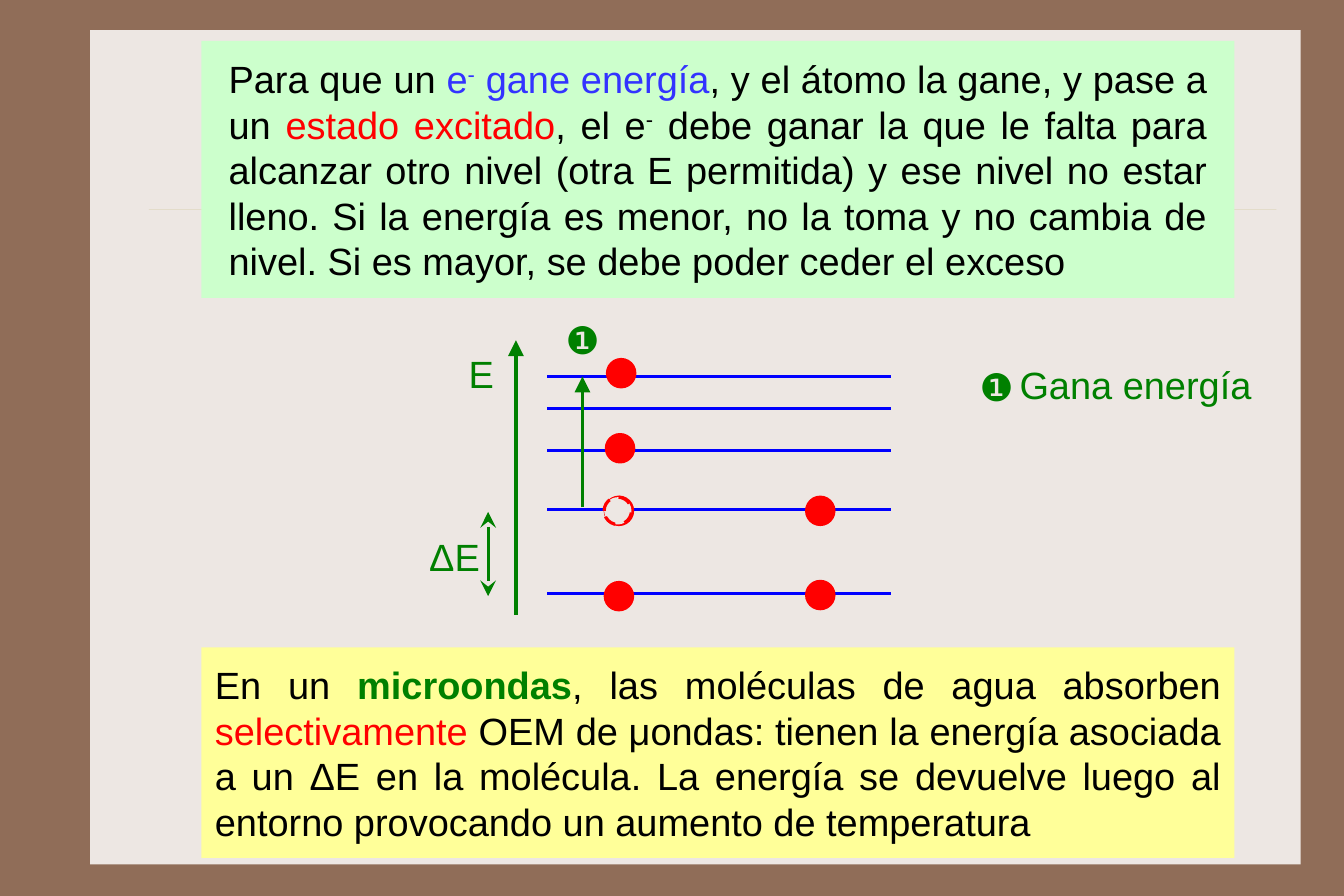
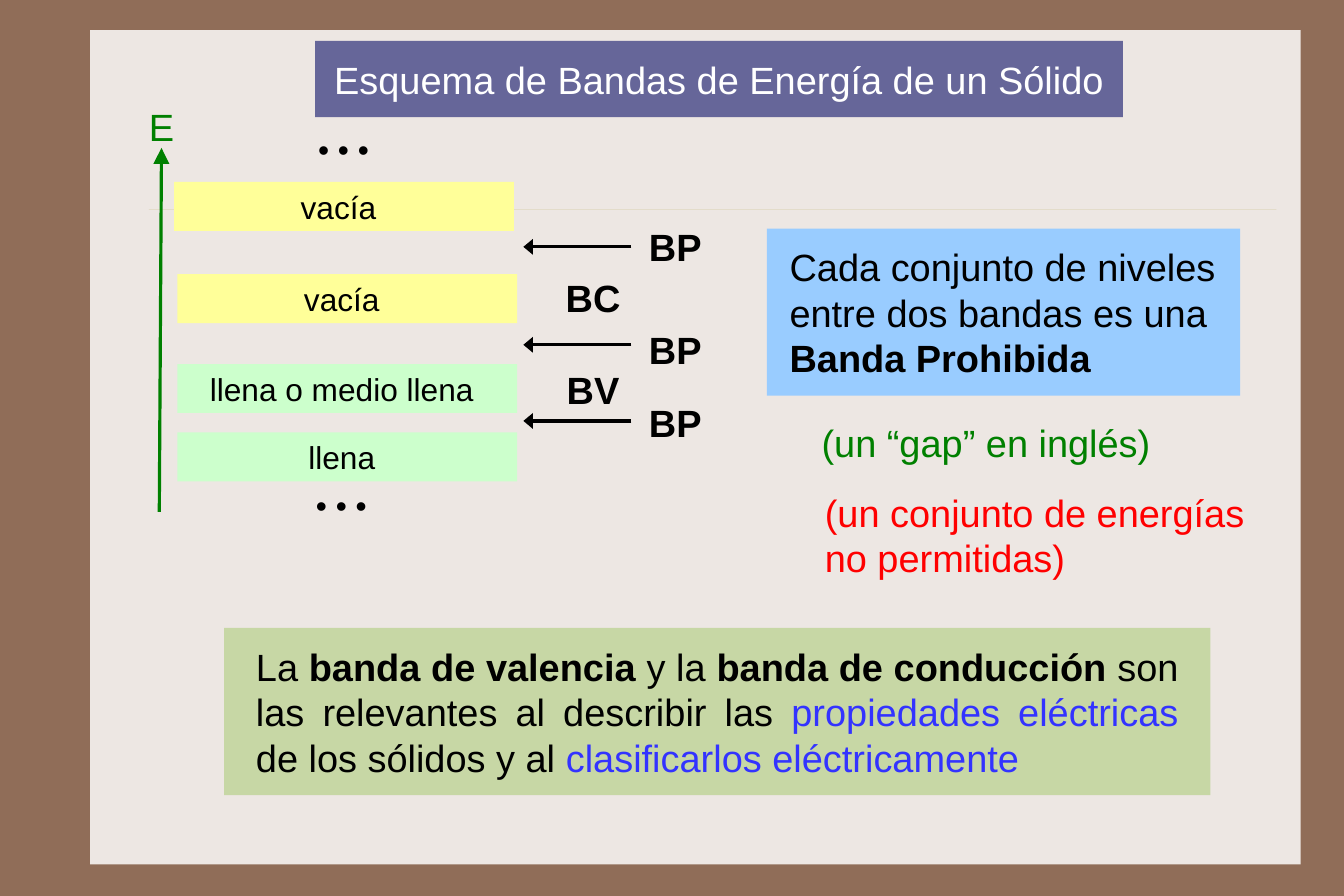
from dataclasses import dataclass

from lxml.etree import SubElement
from pptx import Presentation
from pptx.dml.color import RGBColor
from pptx.enum.dml import MSO_LINE
from pptx.enum.shapes import MSO_CONNECTOR, MSO_SHAPE
from pptx.enum.text import MSO_ANCHOR as Anchor, MSO_AUTO_SIZE, PP_ALIGN as Align
from pptx.oxml.ns import qn
from pptx.util import Pt


@dataclass(frozen=True)
class Theme:
    font: str = "Arial"
    text_size: float = 24
    band_size: float = 20
    line_width: float = 2
    frame: str = "906D58"
    panel: str = "EDE7E3"
    rule: str = "CBBD83"
    black: str = "000000"
    white: str = "FFFFFF"
    green: str = "008000"
    red: str = "FF0000"
    blue: str = "3333FF"
    level: str = "0000FF"
    pale_green: str = "CCFFCC"
    pale_yellow: str = "FFFF99"
    sky: str = "99CCFF"
    violet: str = "666699"
    olive: str = "C7D7A5"


THEME = Theme()
BLUE = {"color": THEME.blue}
RED = {"color": THEME.red}
BOLD = {"bold": True}
RAISED = {"raised": True}


# Text
def format_run(run, color=THEME.black, size=THEME.text_size, bold=False, raised=False):
    run.font.name = THEME.font
    run.font.size = Pt(size)
    run.font.bold = bold
    run.font.color.rgb = RGBColor.from_string(color)
    if raised:
        run._r.get_or_add_rPr().set("baseline", "30000")


def set_margins(text_frame, horizontal, vertical):
    text_frame.margin_left = text_frame.margin_right = Pt(horizontal)
    text_frame.margin_top = text_frame.margin_bottom = Pt(vertical)


def write_paragraphs(text_frame, paragraphs, align=Align.LEFT):
    """Each paragraph is a list of plain strings and (string, format) pairs."""
    for index, pieces in enumerate(paragraphs):
        paragraph = text_frame.add_paragraph() if index else text_frame.paragraphs[0]
        paragraph.alignment = align
        for piece in pieces:
            text, style = (piece, {}) if isinstance(piece, str) else piece
            run = paragraph.add_run()
            run.text = text
            format_run(run, **style)


def add_label(slide, center, top, text, width=60, **style):
    """One line of text, centred on a point."""
    box = slide.shapes.add_textbox(Pt(center - width / 2), Pt(top), Pt(width), Pt(28))
    text_frame = box.text_frame
    text_frame.word_wrap = True
    set_margins(text_frame, 0, 0)
    text_frame.text = text
    paragraph = text_frame.paragraphs[0]
    paragraph.alignment = Align.CENTER
    format_run(paragraph.runs[0], **style)


# Shapes
def paint(shape, fill, line=None):
    shape.shadow.inherit = False
    shape.fill.solid()
    shape.fill.fore_color.rgb = RGBColor.from_string(fill)
    if line:
        shape.line.color.rgb = RGBColor.from_string(line)
        shape.line.width = Pt(THEME.line_width)
    else:
        shape.line.fill.background()


def add_block(slide, left, top, width, height, fill):
    block = slide.shapes.add_shape(
        MSO_SHAPE.RECTANGLE, Pt(left), Pt(top), Pt(width), Pt(height))
    paint(block, fill)
    return block


def add_text_block(slide, area, fill, paragraphs, margin, align=Align.JUSTIFY):
    text_frame = add_block(slide, *area, fill).text_frame
    text_frame.word_wrap = True
    text_frame.vertical_anchor = Anchor.MIDDLE
    set_margins(text_frame, margin, 9)
    write_paragraphs(text_frame, paragraphs, align)


def add_line(slide, start, end, color, width=THEME.line_width,
             head=None, tail=None, length="lg"):
    line = slide.shapes.add_connector(
        MSO_CONNECTOR.STRAIGHT, *(Pt(value) for value in (*start, *end)))
    line.line.color.rgb = RGBColor.from_string(color)
    line.line.width = Pt(width)
    for tag, kind in (("a:headEnd", head), ("a:tailEnd", tail)):
        if kind:
            SubElement(line.get_or_add_ln(), qn(tag), type=kind, w="lg", len=length)
    SubElement(line.element.spPr, qn("a:effectLst"))
    return line


def add_electron(slide, x, y, hole=False):
    size = 17.3
    electron = slide.shapes.add_shape(
        MSO_SHAPE.OVAL, Pt(x - size / 2), Pt(y - size / 2), Pt(size), Pt(size))
    paint(electron, THEME.panel if hole else THEME.red, THEME.red)
    if hole:
        electron.line.dash_style = MSO_LINE.DASH


def add_band(slide, left, top, fill, text):
    band = add_block(slide, left, top, 215, 31, fill)
    text_frame = band.text_frame
    text_frame.vertical_anchor = Anchor.MIDDLE
    set_margins(text_frame, 0, 0)
    text_frame.margin_right = Pt(7)
    text_frame.text = text
    text_frame.paragraphs[0].alignment = Align.CENTER
    format_run(text_frame.paragraphs[0].runs[0], size=THEME.band_size)


def set_title(slide, text, area):
    title = slide.shapes.title
    title.left, title.top, title.width, title.height = (Pt(value) for value in area)
    paint(title, THEME.violet)
    text_frame = title.text_frame
    text_frame.auto_size = MSO_AUTO_SIZE.NONE
    text_frame.word_wrap = True
    text_frame.vertical_anchor = Anchor.MIDDLE
    set_margins(text_frame, 7, 9)
    text_frame.text = text
    text_frame.paragraphs[0].alignment = Align.CENTER
    format_run(text_frame.paragraphs[0].runs[0], THEME.white)


# Shared background, kept on the slide master
def dress_master(presentation, slide):
    master = presentation.slide_master
    master.background.fill.solid()
    master.background.fill.fore_color.rgb = RGBColor.from_string(THEME.frame)
    panel = add_block(slide, 57, 19, 766, 528, THEME.panel)
    rule = add_line(slide, (94.3, 132.5), (807.8, 132.5), THEME.rule, 0.25)
    rule_color = rule.get_or_add_ln().find(".//" + qn("a:srgbClr"))
    SubElement(rule_color, qn("a:alpha"), val="40000")
    for index, shape in enumerate((panel, rule)):
        shape.element.xpath("./*/p:cNvPr")[0].set("id", str(100 + index))
        master.shapes.element.insert(2 + index, shape.element)


# Slide 1: an electron gains energy
def build_excitation(slide):
    add_text_block(slide, (127.4, 25.9, 653.8, 162.7), THEME.pale_green, [[
        "Para que un ", ("e", BLUE), ("-", BLUE | RAISED), (" gane energía", BLUE),
        ", y el átomo la gane, y pase a un ", ("estado excitado", RED),
        ", el e", ("-", RAISED),
        " debe ganar la que le falta para alcanzar otro nivel (otra E permitida) "
        "y ese nivel no estar lleno. Si la energía es menor, no la toma y no cambia "
        "de nivel. Si es mayor, se debe poder ceder el exceso"]], 17.3)

    # Energy axis and gap
    add_line(slide, (326.5, 389), (326.5, 215.3), THEME.green, tail="triangle")
    add_label(slide, 304.6, 221.8, "E", color=THEME.green)
    add_line(slide, (308.9, 324), (308.9, 377.3), THEME.green,
             head="stealth", tail="stealth")
    add_label(slide, 287.6, 337.7, "ΔE", color=THEME.green)

    # Levels and electrons; the hole lies over the place that was left
    for y in (375.8, 322.6, 285.1, 258.5, 238.3):
        add_line(slide, (346.3, y), (563.8, y), THEME.level)
    for center in ((391.7, 377.3), (519.1, 376.6), (391.7, 323.3), (519.1, 323.3),
                   (392.4, 283.7), (393.1, 236.2)):
        add_electron(slide, *center)
    add_electron(slide, 391, 323.3, hole=True)

    # Transition and its key
    add_line(slide, (368.6, 321.1), (368.6, 238.3), THEME.green, tail="triangle")
    add_label(slide, 368.6, 200.2, "❶", color=THEME.green)
    add_label(slide, 630.7, 230.4, "❶", color=THEME.green)
    add_label(slide, 718.6, 229, "Gana energía", 160, color=THEME.green)

    add_text_block(slide, (127.4, 409.7, 653.8, 133.2), THEME.pale_yellow, [[
        "En un ", ("microondas", {"color": THEME.green, "bold": True}),
        ", las moléculas de agua absorben ", ("selectivamente", RED),
        " OEM de μondas: tienen la energía asociada a un ΔE en la molécula. La energía "
        "se devuelve luego al entorno provocando un aumento de temperatura"]], 8.6)


# Slide 2: energy bands of a solid
def build_bands(slide):
    set_title(slide, "Esquema de Bandas de Energía de un Sólido",
              (199.4, 25.9, 511.2, 48.2))

    # Energy axis
    add_line(slide, (100.8, 324), (102.2, 93.6), THEME.green, tail="triangle")
    add_label(slide, 102.2, 65.5, "E", color=THEME.green)

    # Bands, with more above and below
    for left, top, fill, text in (
            (110.2, 115.2, THEME.pale_yellow, "vacía"),
            (112.3, 173.5, THEME.pale_yellow, "vacía"),
            (112.3, 230.4, THEME.pale_green, "llena o medio llena"),
            (112.3, 273.6, THEME.pale_green, "llena")):
        add_band(slide, left, top, fill, text)
    for center, top in ((217.4, 82.4), (216, 307.7)):
        add_label(slide, center, top, "• • •", size=THEME.band_size)

    # Band names and forbidden gaps
    add_label(slide, 375.3, 173.5, "BC", bold=True)
    add_label(slide, 375.3, 231.8, "BV", bold=True)
    for y, label_top in ((156.2, 141.8), (218.2, 206.6), (266.4, 252.7)):
        add_line(slide, (399.6, y), (331.2, y), THEME.black,
                 tail="triangle", length="med")
        add_label(slide, 427.3, label_top, "BP", bold=True)

    # Definition
    add_text_block(slide, (485.3, 144.7, 299.5, 105.8), THEME.sky, [
        ["Cada conjunto de niveles entre dos bandas es una"],
        [("Banda Prohibida", BOLD)]], 14.4, Align.LEFT)
    add_label(slide, 624, 265.7, "(un “gap” en inglés)", 230, color=THEME.green)
    note = slide.shapes.add_textbox(Pt(522), Pt(309.6), Pt(268), Pt(58))
    note.text_frame.word_wrap = True
    set_margins(note.text_frame, 0, 0)
    write_paragraphs(note.text_frame, [
        [("(un conjunto de energías no permitidas)", RED)]])

    add_text_block(slide, (141.8, 397.4, 624.2, 105.8), THEME.olive, [[
        "La ", ("banda de valencia", BOLD), " y la ", ("banda de conducción", BOLD),
        " son las relevantes al describir las ", ("propiedades eléctricas", BLUE),
        " de los sólidos y al ", ("clasificarlos eléctricamente", BLUE)]], 20.2)


def main():
    presentation = Presentation()
    presentation.slide_width, presentation.slide_height = Pt(850.5), Pt(567)
    title_only, blank = presentation.slide_layouts[5], presentation.slide_layouts[6]
    excitation = presentation.slides.add_slide(blank)
    dress_master(presentation, excitation)
    build_excitation(excitation)
    build_bands(presentation.slides.add_slide(title_only))
    presentation.save("out.pptx")


if __name__ == "__main__":
    main()
